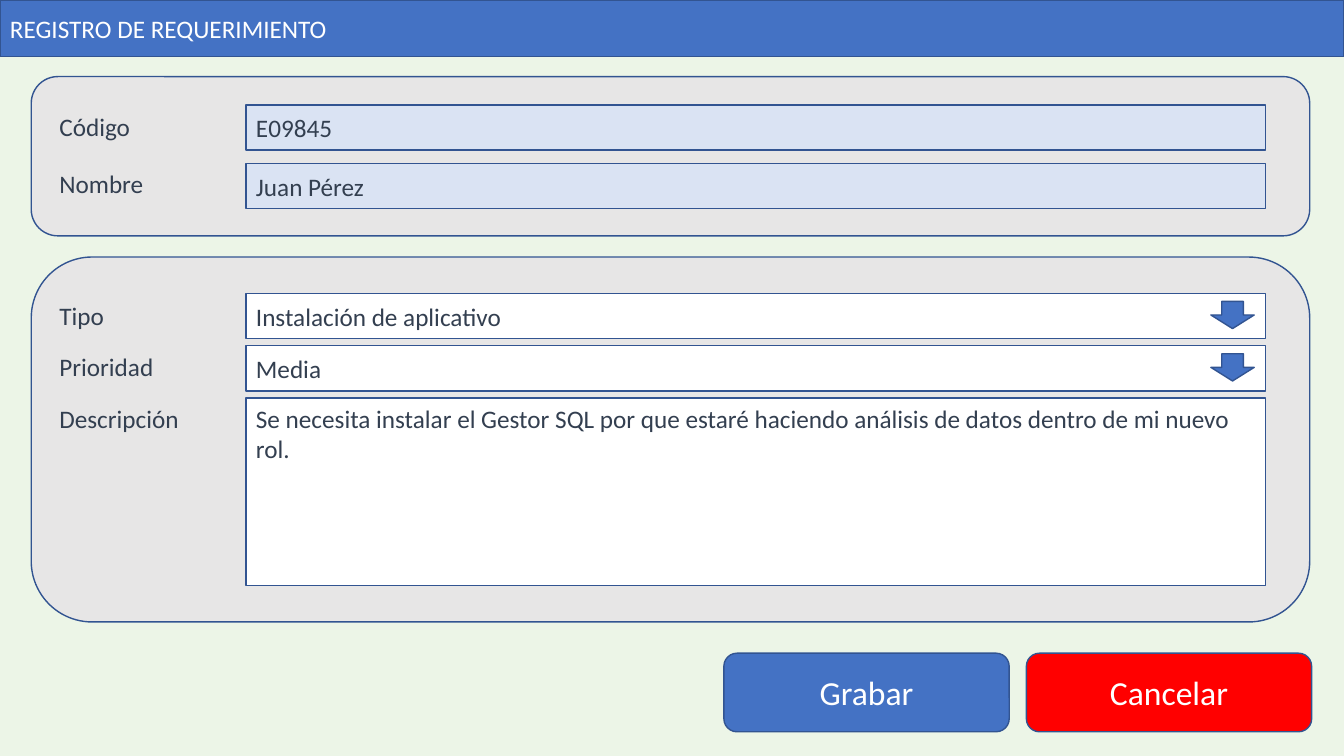
import dataclasses

import pptx
import pptx.dml.color
import pptx.enum.shapes
import pptx.enum.text
import pptx.util

Inches = pptx.util.Inches
SHAPE = pptx.enum.shapes.MSO_SHAPE
ANCHOR = pptx.enum.text.MSO_ANCHOR
ALIGN = pptx.enum.text.PP_ALIGN


@dataclasses.dataclass(frozen=True)
class Theme:
    font: str = "Calibri"
    body_size: int = 18
    button_size: int = 24
    line_width: int = 1
    background: str = "ECF5E7"
    panel: str = "E7E6E6"
    accent: str = "4472C4"
    outline: str = "325491"
    cancel: str = "FF0000"
    read_only: str = "DAE3F3"
    editable: str = "FFFFFF"
    ink: str = "333F50"
    light_ink: str = "FFFFFF"


THEME = Theme()


def rgb(value):
    return pptx.dml.color.RGBColor.from_string(value)


def write(holder, text, color, size=THEME.body_size, align=ALIGN.LEFT, anchor=ANCHOR.MIDDLE):
    frame = holder.text_frame
    frame.word_wrap = True
    frame.vertical_anchor = anchor
    paragraph = frame.paragraphs[0]
    paragraph.text = text
    paragraph.alignment = align
    paragraph.font.name = THEME.font
    paragraph.font.size = pptx.util.Pt(size)
    paragraph.font.color.rgb = rgb(color)


def draw(slide, kind, box, fill):
    shape = slide.shapes.add_shape(kind, *map(Inches, box))
    shape.shadow.inherit = False
    shape.fill.solid()
    shape.fill.fore_color.rgb = rgb(fill)
    shape.line.color.rgb = rgb(THEME.outline)
    shape.line.width = pptx.util.Pt(THEME.line_width)
    return shape


def add_title_bar(slide, box, title):
    write(draw(slide, SHAPE.RECTANGLE, box, THEME.accent), title, THEME.light_ink)


def add_form_panel(slide, box, fields, fill, padding, field_pitch, label_pitch):
    """Fields are (label, value, height, is_dropdown), stacked from the top."""
    left, top, width, height = box
    draw(slide, SHAPE.ROUNDED_RECTANGLE, box, THEME.panel)
    for row, (label, value, field_height, is_dropdown) in enumerate(fields):
        # Label
        label_top = top + padding + 0.02 + row * label_pitch
        caption = slide.shapes.add_textbox(*map(Inches, (left + 0.18, label_top, 1.75, 0.4)))
        write(caption, label, THEME.ink, anchor=ANCHOR.TOP)

        # Value box; tall boxes start their text at the top
        field_top = top + padding + row * field_pitch
        field = draw(slide, SHAPE.RECTANGLE,
                     (left + 2.13, field_top, width - 2.57, field_height), fill)
        is_multiline = field_height > 1
        write(field, value, THEME.ink, anchor=ANCHOR.TOP if is_multiline else ANCHOR.MIDDLE)

        # Dropdown arrow
        if is_dropdown:
            draw(slide, SHAPE.DOWN_ARROW,
                 (left + width - 0.98, field_top + 0.08, 0.43, 0.27), THEME.accent)


def add_buttons(slide, box, buttons, gap):
    left, top, width, height = box
    button_width = (width - gap * (len(buttons) - 1)) / len(buttons)
    for column, (caption, fill) in enumerate(buttons):
        button_left = left + column * (button_width + gap)
        button = draw(slide, SHAPE.ROUNDED_RECTANGLE,
                      (button_left, top, button_width, height), fill)
        write(button, caption, THEME.light_ink, THEME.button_size, ALIGN.CENTER)


def build_request_form(presentation):
    slide = presentation.slides.add_slide(presentation.slide_layouts[6])
    slide.background.fill.solid()
    slide.background.fill.fore_color.rgb = rgb(THEME.background)

    add_title_bar(slide, (0, 0, 13.33, 0.56), "REGISTRO DE REQUERIMIENTO")

    # Employee data
    employee = [("Código", "E09845", 0.45, False),
                ("Nombre", "Juan Pérez", 0.45, False)]
    add_form_panel(slide, (0.31, 0.76, 12.68, 1.58), employee, THEME.read_only,
                   padding=0.28, field_pitch=0.58, label_pitch=0.56)

    # Request data
    description = ("Se necesita instalar el Gestor SQL por que estaré haciendo "
                   "análisis de datos dentro de mi nuevo rol.")
    request = [("Tipo", "Instalación de aplicativo", 0.45, True),
               ("Prioridad", "Media", 0.45, True),
               ("Descripción", description, 1.86, False)]
    add_form_panel(slide, (0.31, 2.55, 12.68, 3.62), request, THEME.editable,
                   padding=0.36, field_pitch=0.52, label_pitch=0.51)

    # Actions
    add_buttons(slide, (7.18, 6.48, 5.83, 0.78),
                [("Grabar", THEME.accent), ("Cancelar", THEME.cancel)], gap=0.17)


presentation = pptx.Presentation()
presentation.slide_width = Inches(13.33)
presentation.slide_height = Inches(7.5)
build_request_form(presentation)
presentation.save("out.pptx")
